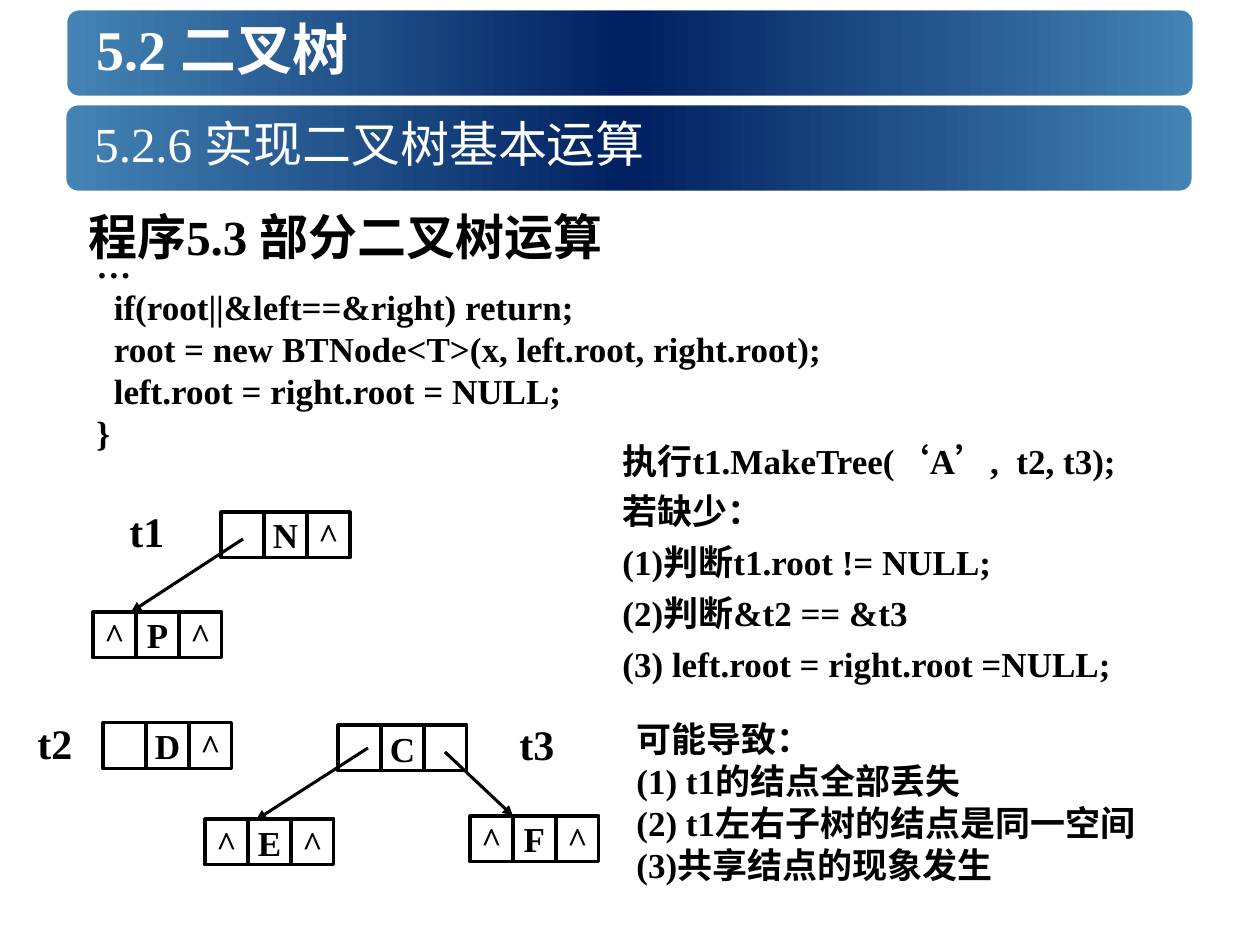
import pptx
import pptx.util
import pptx.dml.color
import pptx.enum.shapes
import pptx.enum.text
import pptx.oxml
import pptx.oxml.ns
import lxml.etree

SCALE = 914400 // 126
LATIN_FONT = "Times New Roman"
CHINESE_FONT = "Noto Sans CJK SC"
BLACK = pptx.dml.color.RGBColor(0x00, 0x00, 0x00)
WHITE = pptx.dml.color.RGBColor(0xFF, 0xFF, 0xFF)
STEEL = pptx.dml.color.RGBColor(0x44, 0x84, 0xB4)
NAVY = pptx.dml.color.RGBColor(0x00, 0x20, 0x60)
CELL_WIDTH, CELL_HEIGHT = 43, 46
MIDDLE = pptx.enum.text.MSO_ANCHOR.MIDDLE
SHAPES = pptx.enum.shapes.MSO_SHAPE
qn = pptx.oxml.ns.qn


def write_text(shape, text, size, color=BLACK, bold=True, line_height=None, gap=0):
    shape.text_frame.text = text
    for index, paragraph in enumerate(shape.text_frame.paragraphs):
        if line_height:
            paragraph.line_spacing = pptx.util.Pt(line_height)
        if gap and index:
            paragraph.space_before = pptx.util.Pt(gap)
        for run in paragraph.runs:
            run.font.size = pptx.util.Pt(size)
            run.font.bold = bold
            run.font.name = LATIN_FONT
            run.font.color.rgb = color
            east_asian = lxml.etree.SubElement(run._r.get_or_add_rPr(), qn("a:ea"))
            east_asian.set("typeface", CHINESE_FONT)


def add_text(left, top, width, height, text, size, **style):
    box = slide.shapes.add_textbox(left * SCALE, top * SCALE, width * SCALE, height * SCALE)
    box.text_frame.word_wrap = True
    write_text(box, text, size, **style)
    return box


presentation = pptx.Presentation()
presentation.slide_width = pptx.util.Inches(10)
presentation.slide_height = pptx.util.Inches(7.5)
slide = presentation.slides.add_slide(presentation.slide_layouts[6])

headers = [
    (63, 6, 84, "5.2 二叉树", 32, True),
    (62, 101, 82, "5.2.6 实现二叉树基本运算", 28, False),
]
for left, top, text_left, text, size, bold in headers:
    banner = slide.shapes.add_shape(
        SHAPES.ROUNDED_RECTANGLE, left * SCALE, top * SCALE, 1134 * SCALE, 94 * SCALE
    )
    banner.shadow.inherit = False
    banner.adjustments[0] = 0.17
    banner.line.color.rgb = WHITE
    banner.line.width = pptx.util.Pt(5)
    banner.fill.gradient()
    banner.fill.gradient_angle = 0
    stops = banner._element.spPr.find(qn("a:gradFill")).find(qn("a:gsLst"))
    for stop in list(stops):
        stops.remove(stop)
    for position, color in [(0, STEEL), (50000, NAVY), (100000, STEEL)]:
        stop = lxml.etree.SubElement(stops, qn("a:gs"), pos=str(position))
        lxml.etree.SubElement(stop, qn("a:srgbClr"), val=str(color))
    title = add_text(text_left, top, 1102, 84, text, size, color=WHITE, bold=bold)
    title.text_frame.vertical_anchor = MIDDLE

add_text(76, 194, 966, 72, "程序5.3 部分二叉树运算", 28, line_height=37)

code = """…
  if(root||&left==&right) return;
  root = new BTNode<T>(x, left.root, right.root);
  left.root = right.root = NULL;
}"""
add_text(84, 237, 1110, 223, code, 20, line_height=24)

nodes = [
    (103, 723, ["", "D", "^"]),
    (338, 725, ["", "C", ""]),
    (205, 819, ["^", "E", "^"]),
    (470, 816, ["^", "F", "^"]),
    (221, 512, ["", "N", "^"]),
    (93, 612, ["^", "P", "^"]),
]
for left, top, values in nodes:
    for column, value in enumerate(values):
        cell = slide.shapes.add_shape(
            SHAPES.RECTANGLE, (left + column * CELL_WIDTH) * SCALE, top * SCALE,
            CELL_WIDTH * SCALE, CELL_HEIGHT * SCALE
        )
        cell.shadow.inherit = False
        cell.fill.background()
        cell.line.color.rgb = BLACK
        cell.line.width = pptx.util.Pt(1.75)
        if value:
            cell.text_frame.word_wrap = False
            cell.text_frame.vertical_anchor = MIDDLE
            write_text(cell, value, 20)
            cell.text_frame.paragraphs[0].alignment = pptx.enum.text.PP_ALIGN.CENTER

links = [(368, 748, 256, 820), (445, 752, 513, 816), (243, 539, 131, 612)]
for start_x, start_y, end_x, end_y in links:
    arrow = slide.shapes.add_connector(
        pptx.enum.shapes.MSO_CONNECTOR.STRAIGHT,
        start_x * SCALE, start_y * SCALE, end_x * SCALE, end_y * SCALE
    )
    arrow.line.color.rgb = BLACK
    arrow.line.width = pptx.util.Pt(1.75)
    lxml.etree.SubElement(arrow.line._get_or_add_ln(), qn("a:tailEnd"), type="triangle")
    lxml.etree.SubElement(arrow._element.spPr, qn("a:effectLst"))

for left, top, name in [(117, 499, "t1"), (25, 711, "t2"), (507, 712, "t3")]:
    add_text(left, top, 68, 63, name, 24)

conditions = """执行t1.MakeTree(‘A’,  t2, t3);
若缺少：
(1)判断t1.root != NULL;
(2)判断&t2 == &t3
(3) left.root = right.root =NULL;"""
add_text(610, 433, 614, 258, conditions, 20, line_height=24, gap=5)

consequences = """可能导致：
(1) t1的结点全部丢失
(2) t1左右子树的结点是同一空间
(3)共享结点的现象发生"""
add_text(624, 711, 636, 181, consequences, 20, line_height=24)

presentation.save("out.pptx")
